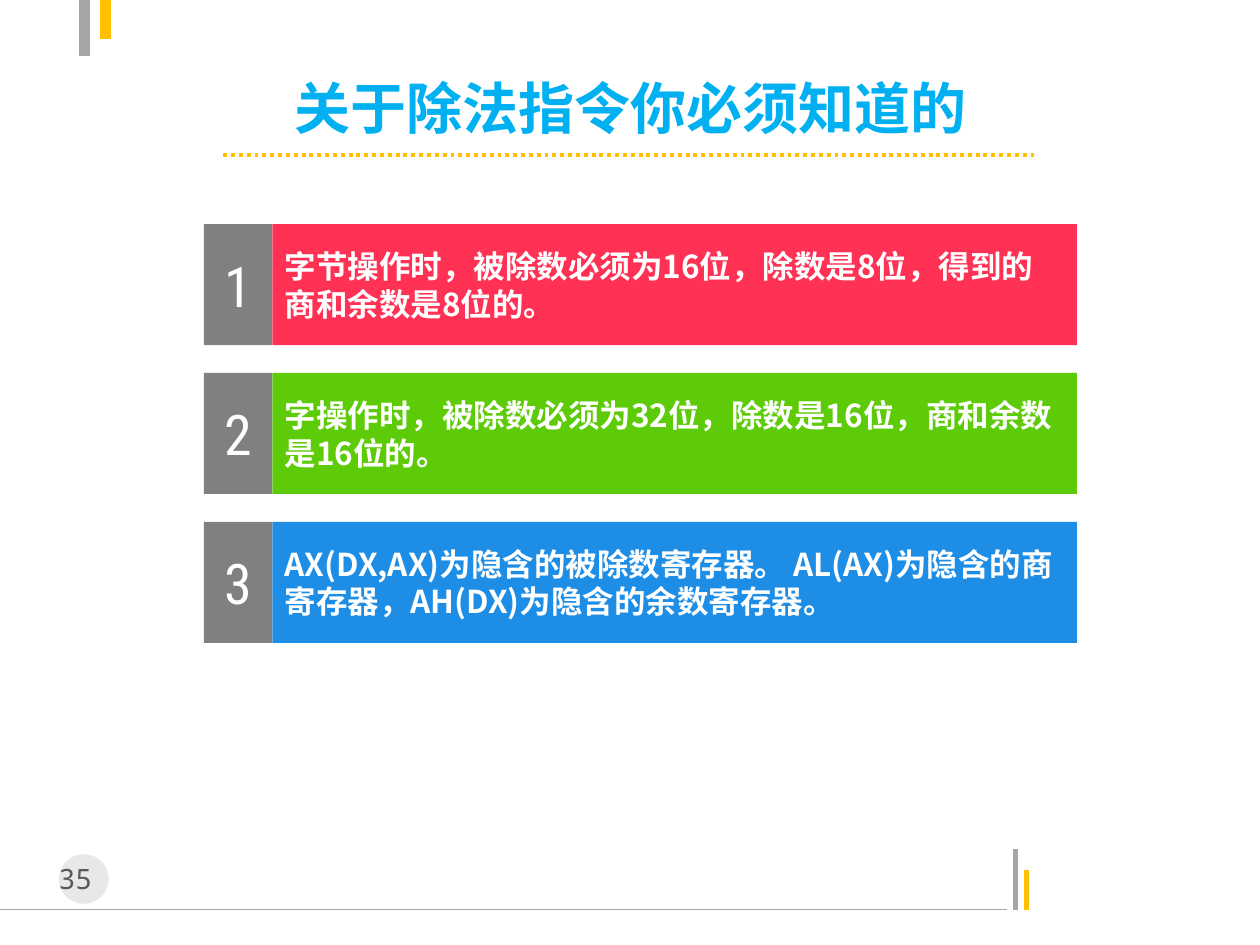
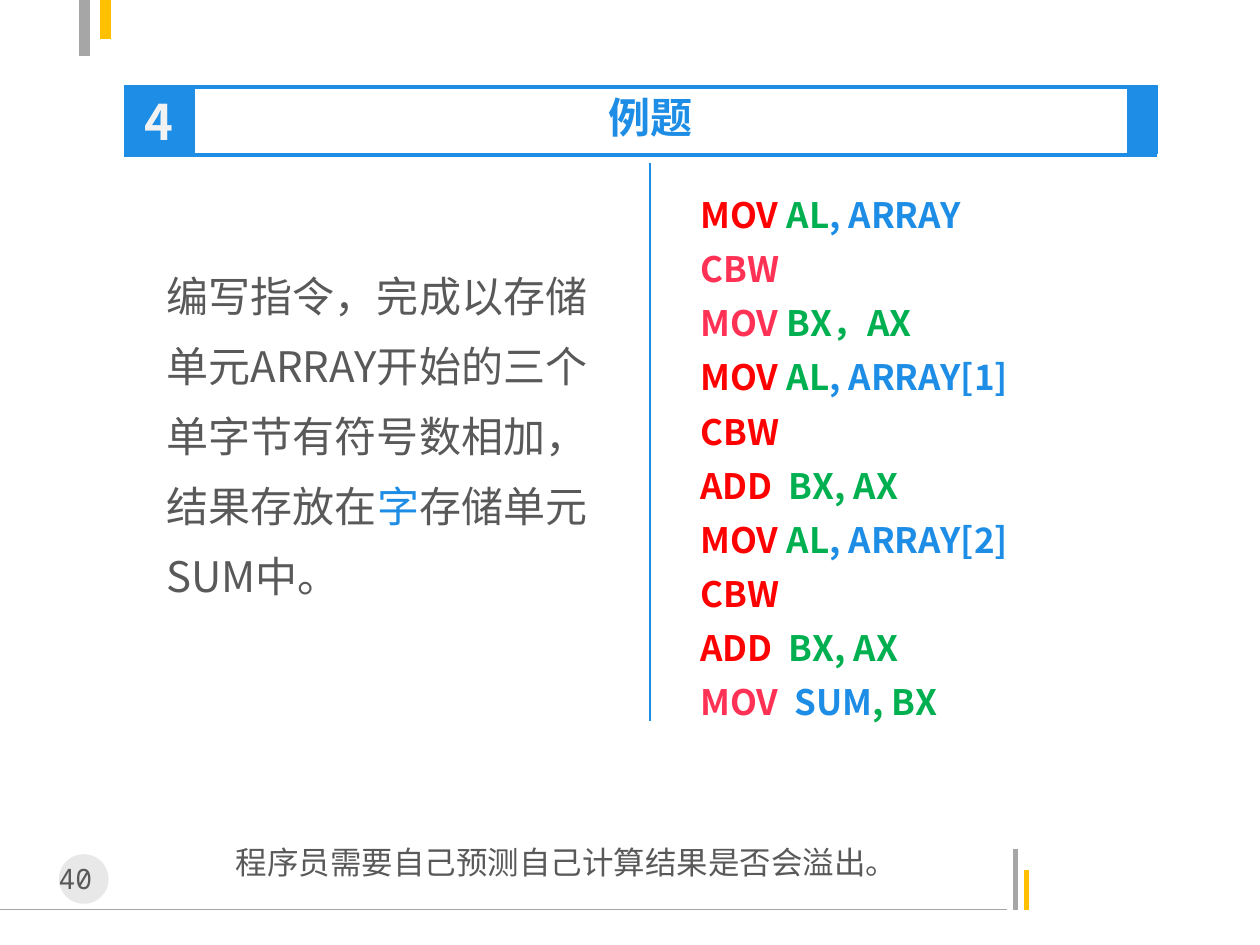
"""Build two slides on division instructions, with a shared frame."""
from dataclasses import dataclass, field
from typing import Any, NamedTuple, Optional

from lxml import etree
from pptx import Presentation
from pptx.dml.color import RGBColor
from pptx.enum.dml import MSO_LINE
from pptx.enum.shapes import MSO_CONNECTOR, MSO_SHAPE
from pptx.enum.text import MSO_ANCHOR, PP_ALIGN
from pptx.oxml.ns import qn
from pptx.slide import Slide
from pptx.util import Cm, Pt

RECT, OVAL = MSO_SHAPE.RECTANGLE, MSO_SHAPE.OVAL
STRAIGHT, DOTS = MSO_CONNECTOR.STRAIGHT, MSO_LINE.ROUND_DOT
TOP, MIDDLE = MSO_ANCHOR.TOP, MSO_ANCHOR.MIDDLE
LEFT, CENTER, JUSTIFY = PP_ALIGN.LEFT, PP_ALIGN.CENTER, PP_ALIGN.JUSTIFY

WHITE = RGBColor(0xFF, 0xFF, 0xFF)
PALE = RGBColor(0xF2, 0xF2, 0xF2)
SILVER = RGBColor(0xBF, 0xBF, 0xBF)
GREY = RGBColor(0xA6, 0xA6, 0xA6)
STONE = RGBColor(0x80, 0x80, 0x80)
DARK = RGBColor(0x59, 0x59, 0x59)
AMBER = RGBColor(0xFF, 0xC0, 0x00)
CYAN = RGBColor(0x00, 0xB0, 0xF0)
BLUE = RGBColor(0x1D, 0x8D, 0xE5)
LIME = RGBColor(0x5D, 0xCB, 0x08)
GREEN = RGBColor(0x00, 0xB0, 0x50)
ROSE = RGBColor(0xFF, 0x32, 0x55)
RED = RGBColor(0xFF, 0x00, 0x00)

SANS, MONO, SLIM = "Noto Sans CJK SC", "Noto Sans Mono", "Roboto Condensed"


class Run(NamedTuple):
    """A stretch of text in one colour."""
    text: str
    color: RGBColor


class Rule(NamedTuple):
    """A straight line, in centimetres and points."""
    x1: float
    y1: float
    x2: float
    y2: float
    color: RGBColor
    width: float
    dash: Optional[MSO_LINE] = None


@dataclass
class Text:
    """Lines of runs with the formats they share."""
    lines: list[list[Run]]
    font: dict[str, Any]
    para: dict[str, Any] = field(default_factory=lambda: {"alignment": LEFT})
    anchor: MSO_ANCHOR = TOP


@dataclass
class Box:
    """A shape when it has a fill, else a text box, in centimetres."""
    left: float
    top: float
    width: float
    height: float
    text: Optional[Text] = None
    fill: Optional[RGBColor] = None
    edge: Optional[RGBColor] = None
    form: MSO_SHAPE = RECT
    alpha: int = 100


def style(size: float, name: str = SANS, bold: bool = False) -> dict[str, Any]:
    """Return the format values of a font."""
    return {"size": Pt(size), "name": name, "bold": bold}


def apply(target: Any, values: dict[str, Any]) -> None:
    """Set each format value on the target."""
    for key, value in values.items():
        setattr(target, key, value)


def label(words: str, color: RGBColor, font: dict[str, Any],
          align: PP_ALIGN = CENTER, anchor: MSO_ANCHOR = MIDDLE) -> Text:
    """Return a text of one line in one colour."""
    return Text([[Run(words, color)]], font, {"alignment": align}, anchor)


def write(frame: Any, text: Text) -> None:
    """Fill a text frame."""
    apply(frame, {"word_wrap": True, "vertical_anchor": text.anchor})
    for count, line in enumerate(text.lines):
        para = frame.add_paragraph() if count else frame.paragraphs[0]
        apply(para, text.para)
        for part in line:
            run = para.add_run()
            run.text = part.text
            apply(run.font, text.font)
            run.font.color.rgb = part.color
            east = etree.SubElement(run.font._element, qn("a:ea"))
            east.set("typeface", text.font["name"])


def draw_box(slide: Slide, box: Box) -> None:
    """Draw a shape or a text box."""
    place = [Cm(n) for n in (box.left, box.top, box.width, box.height)]
    if box.fill is None:
        shape = slide.shapes.add_textbox(*place)
    else:
        shape = slide.shapes.add_shape(box.form, *place)
        shape.shadow.inherit = False
        shape.fill.solid()
        shape.fill.fore_color.rgb = box.fill
        if box.alpha < 100:
            tint = shape.fill._xPr.find(".//" + qn("a:srgbClr"))
            etree.SubElement(tint, qn("a:alpha")).set("val", str(box.alpha * 1000))
        if box.edge is None:
            shape.line.fill.background()
        else:
            shape.line.color.rgb = box.edge
            shape.line.width = Pt(0.75)
    if box.text:
        write(shape.text_frame, box.text)


def draw_rule(slide: Slide, rule: Rule) -> None:
    """Draw a straight line."""
    ends = [Cm(n) for n in rule[:4]]
    link = slide.shapes.add_connector(STRAIGHT, *ends)
    link.line.color.rgb = rule.color
    apply(link.line, {"width": Pt(rule.width), "dash_style": rule.dash})
    etree.SubElement(link._element.spPr, qn("a:effectLst"))


def draw(slide: Slide, items: list[Box | Rule]) -> None:
    """Draw the items from back to front."""
    for item in items:
        (draw_rule if isinstance(item, Rule) else draw_box)(slide, item)


FRAME = [
    Rule(0, 18.34, 20.29, 18.34, GREY, 0.75),
    Rule(20.47, 18.34, 20.47, 17.12, GREY, 3),
    Rule(20.7, 18.34, 20.7, 17.53, AMBER, 3),
    Rule(1.7, 0, 1.7, 1.12, GREY, 6),
    Rule(2.13, 0, 2.13, 0.79, AMBER, 6),
    Box(1.19, 17.22, 1, 1, fill=SILVER, form=OVAL, alpha=35),
]

CARDS = [
    (ROSE, "字节操作时，被除数必须为16位，除数是8位，得到的商和余数是8位的。"),
    (LIME, "字操作时，被除数必须为32位，除数是16位，商和余数是16位的。"),
    (BLUE, "AX(DX,AX)为隐含的被除数寄存器。 AL(AX)为隐含的商寄存器，AH(DX)为隐含的余数寄存器。"),
]

ADD = [Run("ADD  ", RED), Run("BX, AX", GREEN)]
CBW = [Run("CBW", RED)]


def load(cell: str) -> list[Run]:
    """Return the line that loads a cell into AL."""
    return [Run("MOV ", RED), Run("AL", GREEN), Run(f", {cell}", BLUE)]


CODE = [
    load("ARRAY"),
    [Run("CBW", ROSE)],
    [Run("MOV ", ROSE), Run("BX，AX", GREEN)],
    load("ARRAY[1]"), CBW, ADD,
    load("ARRAY[2]"), CBW, ADD,
    [Run("MOV  ", ROSE), Run("SUM", BLUE), Run(", BX", GREEN)],
]

TASK = [[
    Run("编写指令，完成以存储单元ARRAY开始的三个单字节有符号数相加，结果存放在", DARK),
    Run("字", BLUE),
    Run("存储单元SUM中。", DARK),
]]


def add_page(deck: Any, page: int) -> Slide:
    """Add a blank slide with the shared frame and its number."""
    slide = deck.slides.add_slide(deck.slide_layouts[6])
    number = label(f"{page} ", DARK, style(16, MONO), anchor=TOP)
    draw(slide, [*FRAME, Box(0.79, 17.25, 1.8, 0.94, number)])
    return slide


def build_facts(slide: Slide) -> None:
    """Draw the title and the numbered cards."""
    title = label("关于除法指令你必须知道的", CYAN, style(32, bold=True))
    draw(slide, [Rule(4.5, 3.12, 20.9, 3.12, AMBER, 2.25, DOTS),
                 Box(3.51, 1.52, 18.42, 1.27, title)])
    for count, (color, words) in enumerate(CARDS):
        top = 4.52 + 3 * count
        fact = label(words, WHITE, style(18, bold=True), LEFT)
        digit = label(str(count + 1), WHITE, style(32, SLIM))
        draw(slide, [Box(5.49, top, 16.22, 2.44, fact, color),
                     Box(4.11, top, 1.38, 2.44, digit, STONE)])


def build_sample(slide: Slide) -> None:
    """Draw the banner, the task, the code and the note."""
    task = Text(TASK, style(24), {"alignment": JUSTIFY, "line_spacing": 1.39,
                                  "space_after": Pt(6)})
    code = Text(CODE, style(20, bold=True), {"line_spacing": 1.29})
    note = Text([[Run("程序员需要自己预测自己计算结果是否会溢出。", DARK)]],
                style(18), {"line_spacing": 1.2})
    digit = label("4", PALE, style(28, bold=True))
    head = label("例题", BLUE, style(24, bold=True), anchor=TOP)
    draw(slide, [
        Box(3.1, 4.93, 9, 7.39, task),
        Rule(2.51, 3.12, 23.32, 3.12, BLUE, 2.25),
        Box(2.51, 1.75, 1.4, 1.37, digit, BLUE, BLUE),
        Box(3.94, 1.73, 18.36, 1.27, head),
        Box(22.73, 1.73, 0.61, 1.37, None, BLUE, BLUE),
        Rule(2.51, 1.75, 23.32, 1.75, BLUE, 2.25),
        Box(13.87, 3.53, 9.42, 11.28, code),
        Rule(13.11, 3.28, 13.11, 14.53, BLUE, 1),
        Box(4.5, 16.71, 15.8, 1.09, note),
    ])


def main() -> None:
    """Build and save the deck."""
    deck = Presentation()
    apply(deck, {"slide_width": Cm(25.4), "slide_height": Cm(19.05)})
    build_facts(add_page(deck, 35))
    build_sample(add_page(deck, 40))
    deck.save("out.pptx")


if __name__ == "__main__":
    main()
